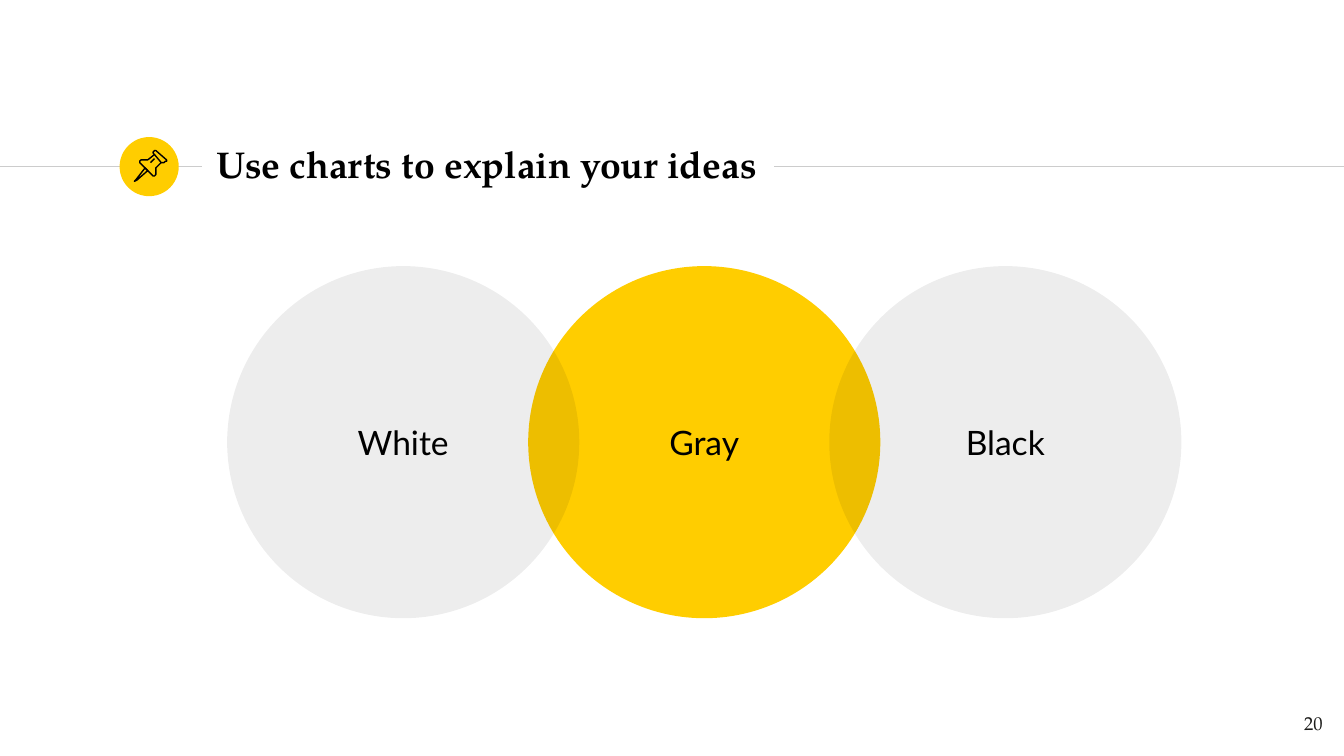
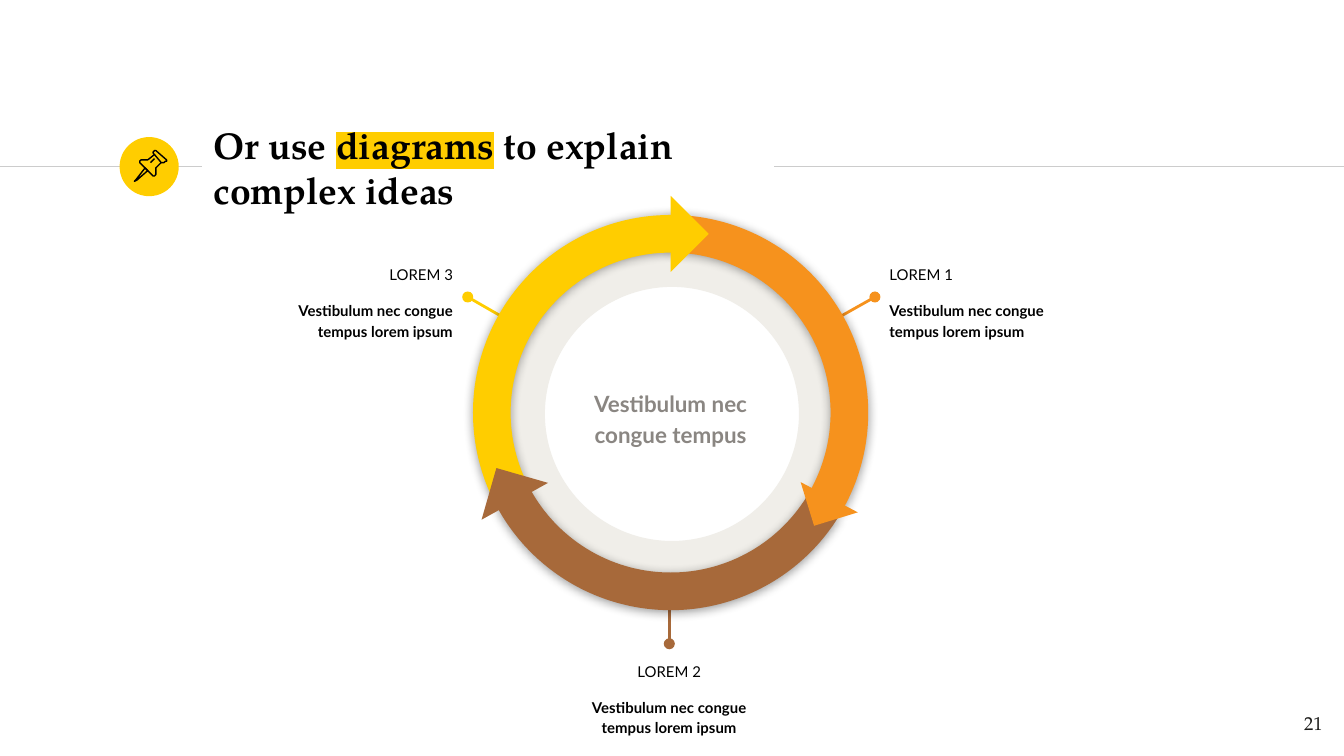
from dataclasses import dataclass

from lxml import etree
from pptx import Presentation
from pptx.dml.color import RGBColor
from pptx.enum.shapes import MSO_CONNECTOR, MSO_SHAPE
from pptx.enum.text import MSO_ANCHOR, PP_ALIGN
from pptx.oxml.ns import qn
from pptx.util import Inches, Pt

LEFT, CENTER, RIGHT = PP_ALIGN.LEFT, PP_ALIGN.CENTER, PP_ALIGN.RIGHT
TOP, MIDDLE = MSO_ANCHOR.TOP, MSO_ANCHOR.MIDDLE
OVAL, DONUT, BLOCK_ARC = MSO_SHAPE.OVAL, MSO_SHAPE.DONUT, MSO_SHAPE.BLOCK_ARC
ARROW_TIP = MSO_SHAPE.RIGHT_TRIANGLE
STRAIGHT = MSO_CONNECTOR.STRAIGHT


@dataclass(frozen=True)
class Theme:
    yellow: str = "FFCD00"
    orange: str = "F6921D"
    brown: str = "A7693A"
    black: str = "000000"
    rule: str = "CCCCCC"
    ring: str = "F0EEE9"
    muted: str = "8A8682"
    footer: str = "1D1D1B"
    serif: str = "TeX Gyre Pagella"
    sans: str = "Lato"
    title_size: float = 20
    circle_size: float = 18
    center_size: float = 12
    number_size: float = 10
    label_size: float = 8
    thin: float = 0.75
    stem: float = 1.5


THEME = Theme()
SLIDE_WIDTH = 10
SLIDE_HEIGHT = SLIDE_WIDTH * 9 / 16
INSET = 0.1
ARC_THICKNESS = 0.28
TITLE_BOX = (1.51, 0.98, 4.24, 0.48)
WRAPPED_TITLE_BOX = (1.49, 1, 4.25, 0.48)
BADGE_BOX = (0.89, 1.02, 0.44, 0.44)
NUMBER_BOX = (9.34, 5.21, 0.6, 0.43)
VENN_BOX = (1.69, 1.98, 7.1, 2.62)
CYCLE_BOX = (3.52, 1.6, 2.94, 2.94)

PIN_PARTS = (
    (((19, 23), (12, 32), (11, 33), (13, 32), (21, 25)), True),
    (((26, 13), (31, 19), (33, 19), (34, 18), (35, 18), (35, 17),
      (27, 10), (26, 10), (25, 11), (25, 12)), True),
    (((26, 13), (21, 17), (19, 17), (17, 17), (16, 17), (15, 18), (15, 19),
      (25, 29), (26, 29), (27, 28), (27, 25), (27, 23), (31, 19)), False),
    (((23, 19), (26, 16)), False),
)


def rgb(color):
    return RGBColor.from_string(color)


def inches(values):
    return [Inches(value) for value in values]


def write(shape, text, size=THEME.label_size, font=THEME.sans, color=THEME.black,
          bold=False, align=LEFT, anchor=TOP, spacing=None, gap=None, highlight=""):
    frame = shape.text_frame
    frame.word_wrap = True
    frame.vertical_anchor = anchor
    frame.margin_left = frame.margin_right = Inches(INSET)
    frame.margin_top = frame.margin_bottom = Inches(INSET)
    paragraph = frame.add_paragraph() if frame.text else frame.paragraphs[0]
    paragraph.alignment = align
    if spacing:
        paragraph.line_spacing = spacing
    if gap:
        paragraph.space_before = Pt(gap)
    pieces = text.partition(highlight) if highlight else (text,)
    for piece in pieces:
        run = paragraph.add_run()
        run.text = piece
        run.font.size = Pt(size)
        run.font.bold = bold
        run.font.color.rgb = rgb(color)
        run.font.name = font
        if piece == highlight:
            marker = etree.Element(qn("a:highlight"))
            etree.SubElement(marker, qn("a:srgbClr"), val=THEME.yellow)
            run.font._element.find(qn("a:latin")).addprevious(marker)


def add_text(slide, box, text, **style):
    textbox = slide.shapes.add_textbox(*inches(box))
    write(textbox, text, **style)
    return textbox


def add_filled(slide, kind, box, color, rotation=0, alpha=None):
    shape = slide.shapes.add_shape(kind, *inches(box))
    shape.shadow.inherit = False
    shape.fill.solid()
    shape.fill.fore_color.rgb = rgb(color)
    shape.line.fill.background()
    shape.rotation = rotation
    if alpha:
        tint = shape._element.spPr.find(qn("a:solidFill"))[0]
        etree.SubElement(tint, qn("a:alpha"), val=str(alpha * 1000))
    return shape


def add_line(slide, start, end, color, width=THEME.thin, dot=False):
    line = slide.shapes.add_connector(STRAIGHT, *inches(start + end))
    line.line.color.rgb = rgb(color)
    line.line.width = Pt(width)
    properties = line._element.spPr
    if dot:
        etree.SubElement(properties.find(qn("a:ln")), qn("a:headEnd"), type="oval")
    etree.SubElement(properties, qn("a:effectLst"))


def draw_pin(slide, box):
    left, top = box[:2]
    pin = slide.shapes.add_group_shape()
    for points, closed in PIN_PARTS:
        outline = [inches((left + x / 100, top + y / 100)) for x, y in points]
        builder = pin.shapes.build_freeform(*outline[0])
        builder.add_line_segments(outline[1:], close=closed)
        part = builder.convert_to_shape()
        part.shadow.inherit = False
        part.fill.background()
        part.line.color.rgb = rgb(THEME.black)
        part.line.width = Pt(THEME.thin)


def draw_frame(slide, title, number, title_box, highlight=""):
    middle = BADGE_BOX[1] + BADGE_BOX[3] / 2
    add_line(slide, (0, middle), (1.5, middle), THEME.rule)
    add_filled(slide, OVAL, BADGE_BOX, THEME.yellow)
    add_line(slide, (5.76, middle), (SLIDE_WIDTH, middle), THEME.rule)
    add_text(slide, title_box, title, size=THEME.title_size, font=THEME.serif,
             bold=True, anchor=MIDDLE, highlight=highlight)
    draw_pin(slide, BADGE_BOX)
    add_text(slide, NUMBER_BOX, str(number), size=THEME.number_size,
             font=THEME.serif, color=THEME.footer, align=RIGHT)


def draw_venn(slide, box):
    left, top, width, diameter = box
    step = (width - diameter) / 2
    for position, name, color, alpha in (
        (1, "Gray", THEME.yellow, None),
        (0, "White", THEME.black, 7),
        (2, "Black", THEME.black, 7),
    ):
        circle_box = (left + position * step, top, diameter, diameter)
        circle = add_filled(slide, OVAL, circle_box, color, alpha=alpha)
        write(circle, name, size=THEME.circle_size, align=CENTER, anchor=MIDDLE)


def draw_callout(slide, origin, name, dot, stem_end, label, color, align):
    left, top = origin

    def place(point):
        return left + point[0], top + point[1]

    add_line(slide, place(dot), place(stem_end), color, THEME.stem, dot=True)
    caption = add_text(slide, place(label) + (1.64, 0.73), name,
                       align=align, spacing=1.15)
    write(caption, "Vestibulum nec congue tempus lorem ipsum", bold=True,
          align=align, spacing=1.15, gap=8.3)


def draw_arc(slide, box, color, rotation, angles, flipped):
    arc = add_filled(slide, BLOCK_ARC, box, color, rotation)
    for index, value in enumerate((*angles, ARC_THICKNESS / box[2])):
        arc.adjustments[index] = value
    properties = arc._element.spPr
    if flipped:
        properties.find(qn("a:xfrm")).set("flipH", "1")
    shadow = etree.SubElement(
        properties.find(qn("a:effectLst")), qn("a:outerShdw"),
        blurRad=str(Pt(5.6)), dist=str(Pt(0.8)), dir="5400000", rotWithShape="0")
    shade = etree.SubElement(shadow, qn("a:srgbClr"), val=THEME.black)
    etree.SubElement(shade, qn("a:alpha"), val="40000")


def draw_cycle(slide, box):
    left, top, size, _ = box
    ring_box = (left + 0.09, top + 0.09, size - 0.16, size - 0.16)
    ring = add_filled(slide, DONUT, ring_box, THEME.ring)
    ring.adjustments[0] = 0.16

    for callout in (
        ("LOREM 3", (-0.04, 0.61), (0.43, 0.88), (-1.69, 0.26), THEME.yellow, RIGHT),
        ("LOREM 1", (2.99, 0.61), (2.51, 0.88), (3, 0.26), THEME.orange, LEFT),
        ("LOREM 2", (1.46, 3.19), (1.46, 2.68), (0.64, 3.21), THEME.brown, CENTER),
    ):
        draw_callout(slide, (left, top), *callout)

    add_text(slide, (left + 0.68, top + 1.06, 1.58, 0.88),
             "Vestibulum nec congue tempus", size=THEME.center_size,
             color=THEME.muted, bold=True, align=CENTER, anchor=MIDDLE, spacing=1.15)

    def draw_tip(x, y, side, color, rotation):
        add_filled(slide, ARROW_TIP, (left + x, top + y, side, side), color, rotation)

    draw_arc(slide, box, THEME.orange, 30, (144.14, 0.01), False)
    draw_arc(slide, box, THEME.yellow, 330, (143.49, 214.73), True)
    draw_tip(1.27, -0.06, 0.4, THEME.yellow, 225)
    draw_arc(slide, box, THEME.brown, 210, (143.16, 215.03), True)
    draw_tip(2.48, 1.93, 0.34, THEME.orange, 342.9)
    draw_tip(0.11, 1.93, 0.4, THEME.brown, 106)


def main():
    deck = Presentation()
    deck.slide_width, deck.slide_height = inches((SLIDE_WIDTH, SLIDE_HEIGHT))
    blank = deck.slide_layouts[6]

    charts = deck.slides.add_slide(blank)
    draw_frame(charts, "Use charts to explain your ideas", 20, TITLE_BOX)
    draw_venn(charts, VENN_BOX)

    diagrams = deck.slides.add_slide(blank)
    draw_frame(diagrams, "Or use diagrams to explain complex ideas", 21,
               WRAPPED_TITLE_BOX, highlight="diagrams")
    draw_cycle(diagrams, CYCLE_BOX)

    deck.save("out.pptx")


if __name__ == "__main__":
    main()
